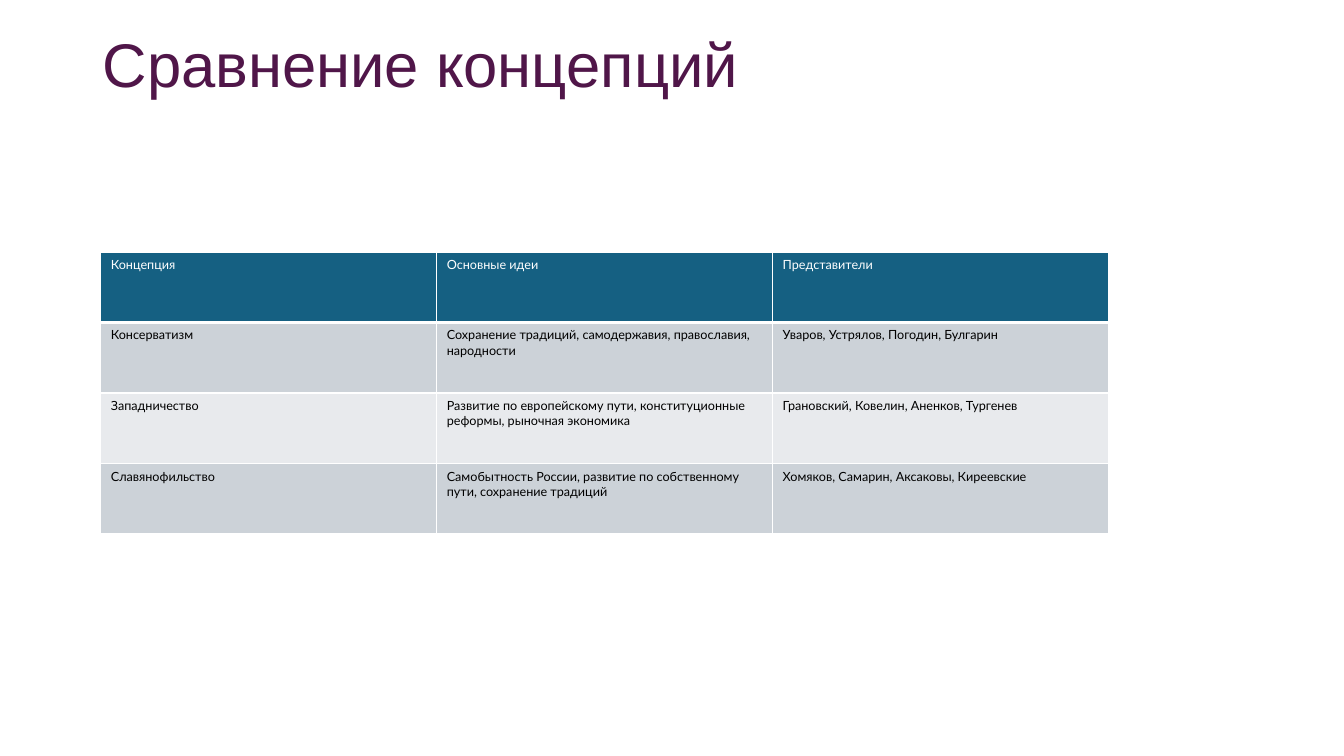
from lxml import etree
from pptx import Presentation
from pptx.dml.color import RGBColor
from pptx.enum.text import MSO_ANCHOR, MSO_AUTO_SIZE, PP_ALIGN
from pptx.oxml import parse_xml
from pptx.oxml.ns import nsdecls
from pptx.util import Cm, Pt

HEADER_FILL = "156082"
BAND_FILLS = ["E8EAED", "CCD2D8"]
CONCEPTS = [
    ("Концепция", "Основные идеи", "Представители"),
    ("Консерватизм",
     "Сохранение традиций, самодержавия, православия, народности",
     "Уваров, Устрялов, Погодин, Булгарин"),
    ("Западничество",
     "Развитие по европейскому пути, конституционные реформы, рыночная экономика",
     "Грановский, Ковелин, Аненков, Тургенев"),
    ("Славянофильство",
     "Самобытность России, развитие по собственному пути, сохранение традиций",
     "Хомяков, Самарин, Аксаковы, Киреевские"),
]


def style_text(paragraph, font_name, size, color):
    for run in paragraph.runs:
        run.font.name = font_name
        run.font.size = Pt(size)
        run.font.bold = False
        run.font.color.rgb = RGBColor.from_string(color)


def add_borders(cell, bottom_width):
    """Draw white borders, 1 pt wide except for the bottom one."""
    properties = cell._tc.get_or_add_tcPr()
    widths = {"lnL": 1, "lnR": 1, "lnT": 1, "lnB": bottom_width}
    for position, (side, width) in enumerate(widths.items()):
        properties.insert(position, parse_xml(
            f'<a:{side} {nsdecls("a")} w="{Pt(width)}"><a:solidFill>'
            f'<a:srgbClr val="FFFFFF"/></a:solidFill></a:{side}>'))


prs = Presentation()
prs.slide_width, prs.slide_height = Cm(33.87), Cm(19.05)
slide = prs.slides.add_slide(prs.slide_layouts[5])

title = slide.shapes.title
title.left, title.top, title.width, title.height = Cm(2.33), Cm(0.56), Cm(29.21), Cm(2.29)
title.text_frame.text = "Сравнение концепций"
title.text_frame.auto_size = MSO_AUTO_SIZE.NONE
title.text_frame.vertical_anchor = MSO_ANCHOR.MIDDLE
heading = title.text_frame.paragraphs[0]
heading.alignment = PP_ALIGN.LEFT
heading.line_spacing = 0.9
style_text(heading, "Arial", 44, "501649")

comparison = slide.shapes.add_table(
    len(CONCEPTS), len(CONCEPTS[0]), Cm(2.54), Cm(6.35), Cm(25.4), Cm(7.11)).table
for row, entries in enumerate(CONCEPTS):
    is_header = row == 0
    fill = HEADER_FILL if is_header else BAND_FILLS[row % 2]
    for column, entry in enumerate(entries):
        cell = comparison.cell(row, column)
        cell.text_frame.text = entry
        style_text(cell.text_frame.paragraphs[0], "Lato", 9,
                   "FFFFFF" if is_header else "000000")
        cell.fill.solid()
        cell.fill.fore_color.rgb = RGBColor.from_string(fill)
        add_borders(cell, bottom_width=3 if is_header else 1)

# Rows 1 and 3 share the darker band, row 2 the lighter one.
for row in (1, 2, 3):
    for cell in comparison.rows[row].cells:
        cell.fill.fore_color.rgb = RGBColor.from_string(BAND_FILLS[row % 2])

prs.save("out.pptx")
